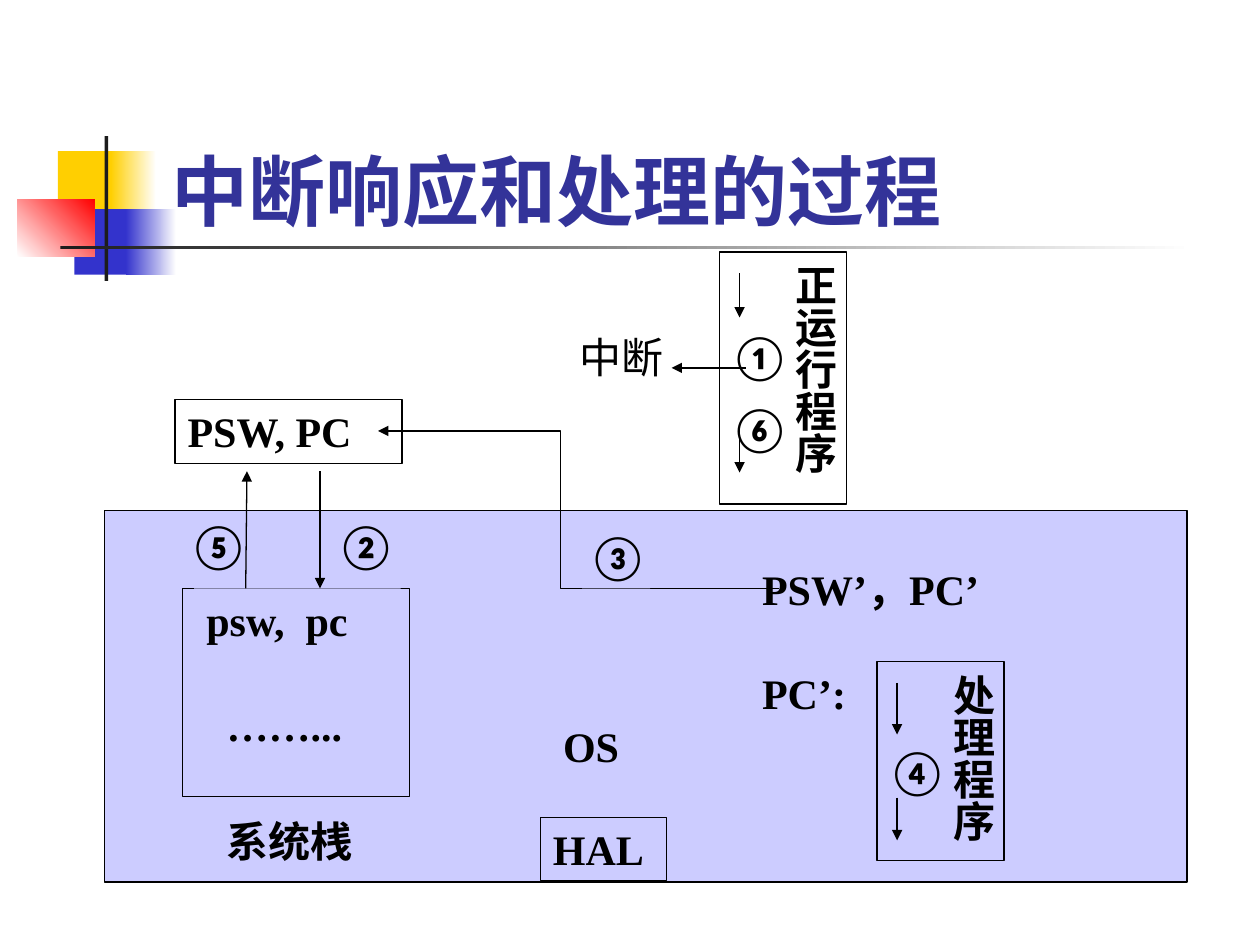
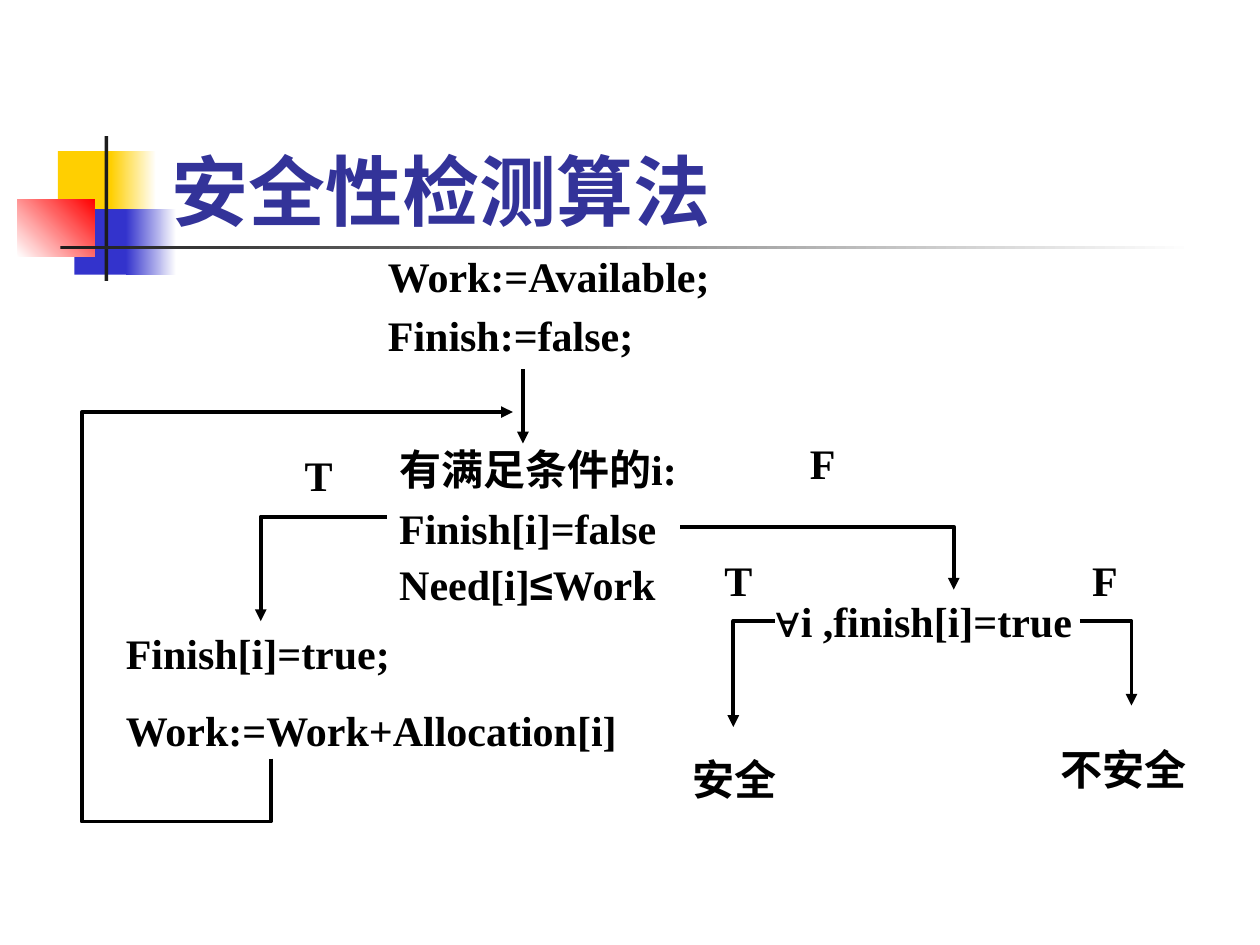
from itertools import groupby

from lxml.etree import SubElement
from pptx import Presentation
from pptx.dml.color import RGBColor
from pptx.enum.shapes import MSO_CONNECTOR, MSO_SHAPE
from pptx.enum.text import MSO_ANCHOR
from pptx.oxml.ns import qn
from pptx.util import Pt

PX = 9144  # EMU in one px, 100 px to the inch
HUES = {
    "white": "FFFFFF",
    "black": "000000",
    "ink": "1C1C1C",
    "title": "333399",
    "gold": "FFCF01",
    "blue": "3333CC",
    "red": "FF0000",
    "lilac": "CCCCFF",
}
SERIF, SANS, SIGN = "Times New Roman", "Lato", "Arial"
THIN, THICK = 0.75, 2.25


def hue(name):
    return RGBColor.from_string(HUES[name])


def emu(*px):
    return [n * PX for n in px]


def face_of(char):
    """Font for one character: signs and ringed digits have their own."""
    if char in "≤∀":
        return SIGN
    return SANS if "①" <= char <= "⑥" else SERIF


def rect(slide, x, y, w, h, fill, edge=False):
    box = slide.shapes.add_shape(MSO_SHAPE.RECTANGLE, *emu(x, y, w, h))
    box.shadow.inherit = False
    box.fill.solid()
    box.fill.fore_color.rgb = hue(fill)
    if edge:
        ink(box, THIN)
    else:
        box.line.fill.background()
    return box


def fade(slide, x, y, w, h, start, end, angle=0):
    """Rectangle with a linear gradient, angle counter-clockwise."""
    fill = rect(slide, x, y, w, h, start).fill
    fill.gradient()
    fill.gradient_angle = angle
    for stop, name in zip(fill.gradient_stops, (start, end)):
        stop.color.rgb = hue(name)


def ink(shape, width, arrow=False):
    shape.line.color.rgb = hue("black")
    shape.line.width = Pt(width)
    if arrow:
        line = shape.element.spPr.find(qn("a:ln"))
        SubElement(line, qn("a:tailEnd")).set("type", "triangle")


def arrow(slide, x1, y1, x2, y2, width=THIN):
    line = slide.shapes.add_connector(
        MSO_CONNECTOR.STRAIGHT, *emu(x1, y1, x2, y2))
    ink(line, width, arrow=True)
    SubElement(line.element.spPr, qn("a:effectLst"))


def bend(slide, points, width=THICK):
    """Open path through the points, with an arrowhead at its end."""
    pen = slide.shapes.build_freeform(*points[0], scale=PX)
    pen.add_line_segments(points[1:], close=False)
    path = pen.convert_to_shape()
    path.shadow.inherit = False
    path.fill.background()
    ink(path, width, arrow=True)


def write(box, lines, gaps=(), face=None, size=24, tint="black", bold=True):
    """Fill the box with lines; gaps are line spacings, one a line."""
    frame = box.text_frame
    frame.word_wrap = True
    frame.vertical_anchor = MSO_ANCHOR.TOP
    frame.text = "\n".join(lines)
    for para, line in zip(frame.paragraphs, lines):
        para.space_before = Pt(15)
        para.text = ""
        for name, chars in groupby(line, face_of):
            run = para.add_run()
            run.text = "".join(chars)
            run.font.name = face or name
            run.font.size = Pt(size)
            run.font.bold = bold
            run.font.color.rgb = hue(tint)
        para.alignment = 1
    for para, gap in zip(frame.paragraphs, gaps):
        para.line_spacing = gap
    return frame


def label(slide, x, y, w, h, *lines, **style):
    box = slide.shapes.add_textbox(*emu(x, y, w, h))
    return write(box, lines, **style)


def block(slide, x, y, w, h, text, fill="lilac", edge=False):
    write(rect(slide, x, y, w, h, fill, edge), [text])


def upright(slide, x, y, w, h, fill, name, steps, stops):
    """Box of vertical text whose steps stand at tab stops."""
    frame = write(rect(slide, x, y, w, h, fill, True), [name, steps], (1, 0.5))
    frame.margin_left = frame.margin_right = 5 * PX
    frame.margin_top = frame.margin_bottom = 10 * PX
    frame._txBody.bodyPr.set("vert", "eaVert")
    props = frame.paragraphs[1]._p.get_or_add_pPr()
    tabs = SubElement(props, qn("a:tabLst"))
    for stop in stops:
        tab = SubElement(tabs, qn("a:tab"))
        tab.set("pos", str(stop * PX))
        tab.set("algn", "l")


def start(deck, title):
    """New slide with the shared ornament and title."""
    slide = deck.slides.add_slide(deck.slide_layouts[6])
    rect(slide, 46, 120, 48, 52, "gold")
    fade(slide, 88, 120, 36, 52, "gold", "white")
    rect(slide, 59, 166, 46, 52, "blue")
    fade(slide, 100, 166, 40, 52, "blue", "white")
    fade(slide, 14, 158, 61, 46, "white", "red", 45)
    rect(slide, 83, 108, 3, 115, "ink")
    fade(slide, 48, 195, 900, 3, "ink", "white")
    frame = label(slide, 126, 67, 852, 125, title,
                  face=SANS, size=44, tint="title")
    frame.vertical_anchor = MSO_ANCHOR.BOTTOM
    return slide


def process(deck):
    slide = start(deck, "中断响应和处理的过程")
    rect(slide, 83, 405, 859, 295, "lilac", True)
    upright(slide, 571, 200, 101, 200, "white",
            "正运行程序", "\t①\t⑥", (56, 113))
    for top in (217, 340):
        arrow(slide, 587, top, 587, top + 35)
    upright(slide, 696, 525, 101, 158, "lilac", "处理程序", "\t④", (60,))
    arrow(slide, 712, 542, 712, 583)
    arrow(slide, 712, 633, 712, 667)

    block(slide, 595, 442, 209, 50, "PSW’，PC’")
    block(slide, 595, 525, 91, 50, "PC’:")
    block(slide, 139, 317, 180, 51, "PSW, PC", "white", True)
    rect(slide, 145, 467, 180, 165, "lilac", True)
    block(slide, 170, 642, 136, 50, "系统桟")
    block(slide, 154, 467, 164, 50, "psw,  pc")
    block(slide, 170, 550, 127, 50, "……...")
    arrow(slide, 254, 374, 254, 467)
    block(slide, 262, 408, 48, 50, "②")
    arrow(slide, 195, 467, 196, 374)
    block(slide, 145, 408, 45, 50, "⑤")
    bend(slide, [(618, 467), (445, 467), (445, 342), (300, 342)], THIN)
    block(slide, 462, 417, 54, 50, "③")
    block(slide, 429, 649, 100, 50, "HAL", edge=True)
    block(slide, 437, 567, 91, 50, "OS")
    arrow(slide, 592, 292, 533, 292)
    label(slide, 450, 258, 92, 50, "中断", face=SANS, bold=False)


def safety(deck):
    slide = start(deck, "安全性检测算法")
    label(slide, 298, 202, 292, 87, "Work:=Available;", "Finish:=false;",
          gaps=(0.8, 0.6))
    label(slide, 307, 355, 325, 132, "有满足条件的i:", "Finish[i]=false",
          "Need[i]≤Work", gaps=(0.8, 0.6, 0.6))
    label(slide, 90, 493, 414, 111, "Finish[i]=true;",
          "Work:=Work+Allocation[i]")
    label(slide, 606, 468, 283, 50, "∀i ,finish[i]=true")
    for x, y, w, text in (
        (633, 342, 67, "F"),
        (232, 352, 50, "T"),
        (565, 435, 58, "T"),
        (857, 435, 58, "F"),
        (540, 593, 92, "安全"),
        (832, 585, 125, "不安全"),
    ):
        label(slide, x, y, w, 50, text)

    arrow(slide, 415, 293, 415, 352, THICK)
    for points in (
        [(307, 410), (207, 410), (207, 493)],
        [(215, 602), (215, 652), (65, 652), (65, 327), (407, 327)],
        [(540, 418), (757, 418), (757, 468)],
        [(615, 493), (582, 493), (582, 577)],
        [(857, 493), (898, 493), (898, 560)],
    ):
        bend(slide, points)


def main():
    deck = Presentation()
    deck.slide_width, deck.slide_height = emu(1000, 750)
    process(deck)
    safety(deck)
    deck.save("out.pptx")


if __name__ == "__main__":
    main()
